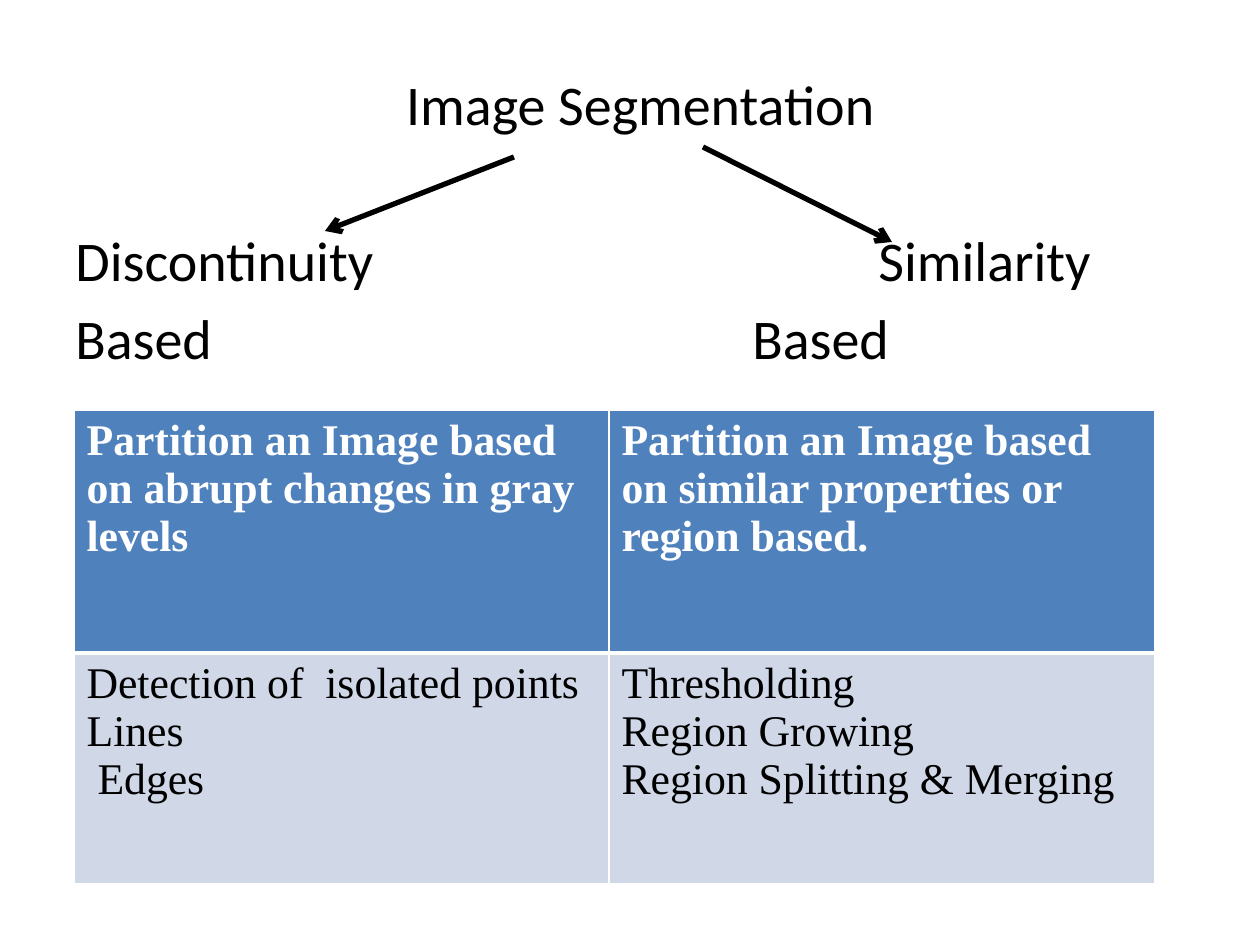
from dataclasses import dataclass

from lxml.etree import SubElement
from pptx import Presentation
from pptx.dml.color import RGBColor
from pptx.enum.shapes import MSO_CONNECTOR as Connector
from pptx.enum.text import MSO_ANCHOR as Anchor, PP_ALIGN as Align
from pptx.oxml.ns import qn
from pptx.util import Emu, Pt


@dataclass(frozen=True)
class Theme:
    ink: str = "000000"
    paper: str = "FFFFFF"
    header: str = "4F81BD"
    body: str = "D0D8E8"
    label_font: str = "Calibri"
    table_font: str = "Times New Roman"
    label_size: int = 32
    table_size: int = 25
    arrow_width: int = 3
    rule_width: int = 1
    header_rule: int = 3


@dataclass(frozen=True)
class Label:
    words: str
    space_before: int
    align: Align = Align.LEFT
    tab: int = 0


@dataclass(frozen=True)
class Arrow:
    start: tuple[int, int]
    end: tuple[int, int]


@dataclass(frozen=True)
class Row:
    height: int
    cells: tuple[tuple[str, ...], ...]
    fill: str
    ink: str
    bold: bool
    bottom_rule: int


THEME = Theme()
PX_PER_INCH = 126
LABELS = (
    Label("Image Segmentation", 6, Align.CENTER),
    Label("Discontinuity\tSimilarity", 51, tab=803),
    Label("Based\tBased", 6, tab=677),
)
ARROWS = (
    Arrow((514, 157), (325, 231)),
    Arrow((703, 147), (892, 242)),
)
COLUMNS = (535, 546)
ROWS = (
    Row(243, (
        ("Partition an Image based on abrupt changes in gray levels",),
        ("Partition an Image based on similar properties or region based.",),
    ), THEME.header, THEME.paper, True, THEME.header_rule),
    Row(231, (
        ("Detection of  isolated points Lines", " Edges"),
        ("Thresholding", "Region Growing", "Region Splitting & Merging"),
    ), THEME.body, THEME.ink, False, THEME.rule_width),
)


def px(length: int) -> Emu:
    return Emu(round(length * 914400 / PX_PER_INCH))


def add_span(para, words: str, font: str, size: int, ink: str, bold: bool = False) -> None:
    span = para.add_run()
    span.text = words
    span.font.name = font
    span.font.size = Pt(size)
    span.font.bold = bold
    span.font.color.rgb = RGBColor.from_string(ink)


def next_para(frame, index: int):
    return frame.add_paragraph() if index else frame.paragraphs[0]


def add_labels(page, labels: tuple[Label, ...]) -> None:
    box = page.shapes.add_textbox(px(63), px(63), px(1155), px(850))
    frame = box.text_frame
    frame.word_wrap = True
    frame.vertical_anchor = Anchor.TOP
    for index, label in enumerate(labels):
        para = next_para(frame, index)
        para.alignment = label.align
        para.space_before = Pt(label.space_before)
        if label.tab:
            stops = SubElement(para._p.get_or_add_pPr(), qn("a:tabLst"))
            SubElement(stops, qn("a:tab"), pos=str(px(label.tab)), algn="l")
        add_span(para, label.words, THEME.label_font, THEME.label_size, THEME.ink)


def add_arrow(page, arrow: Arrow) -> None:
    line = page.shapes.add_connector(
        Connector.STRAIGHT, *map(px, arrow.start + arrow.end)
    )
    line.line.color.rgb = RGBColor.from_string(THEME.ink)
    line.line.width = Pt(THEME.arrow_width)
    SubElement(line.line._get_or_add_ln(), qn("a:tailEnd"), type="arrow")
    SubElement(line._element.spPr, qn("a:effectLst"))


def add_borders(cell, top: int, bottom: int) -> None:
    properties = cell._tc.get_or_add_tcPr()
    widths = {"lnL": THEME.rule_width, "lnR": THEME.rule_width, "lnT": top, "lnB": bottom}
    for position, (side, width) in enumerate(widths.items()):
        edge = SubElement(properties, qn(f"a:{side}"), w=str(Pt(width)))
        fill = SubElement(edge, qn("a:solidFill"))
        SubElement(fill, qn("a:srgbClr"), val=THEME.paper)
        properties.insert(position, edge)


def add_comparison(page, rows: tuple[Row, ...]) -> None:
    height = sum(row.height for row in rows)
    table = page.shapes.add_table(
        len(rows), len(COLUMNS), px(74), px(410), px(sum(COLUMNS)), px(height)
    ).table
    for column, width in zip(table.columns, COLUMNS):
        column.width = px(width)
    top_rule = THEME.rule_width
    for row_index, row in enumerate(rows):
        table.rows[row_index].height = px(row.height)
        for column_index, lines in enumerate(row.cells):
            cell = table.cell(row_index, column_index)
            cell.fill.solid()
            cell.fill.fore_color.rgb = RGBColor.from_string(row.fill)
            add_borders(cell, top_rule, row.bottom_rule)
            for index, words in enumerate(lines):
                para = next_para(cell.text_frame, index)
                add_span(para, words, THEME.table_font, THEME.table_size, row.ink, row.bold)
        top_rule = row.bottom_rule


def main() -> None:
    deck = Presentation()
    deck.slide_width = px(1260)
    deck.slide_height = px(945)
    page = deck.slides.add_slide(deck.slide_layouts[6])
    page.background.fill.solid()
    page.background.fill.fore_color.rgb = RGBColor.from_string(THEME.paper)
    add_labels(page, LABELS)
    for arrow in ARROWS:
        add_arrow(page, arrow)
    add_comparison(page, ROWS)
    deck.save("out.pptx")


if __name__ == "__main__":
    main()
